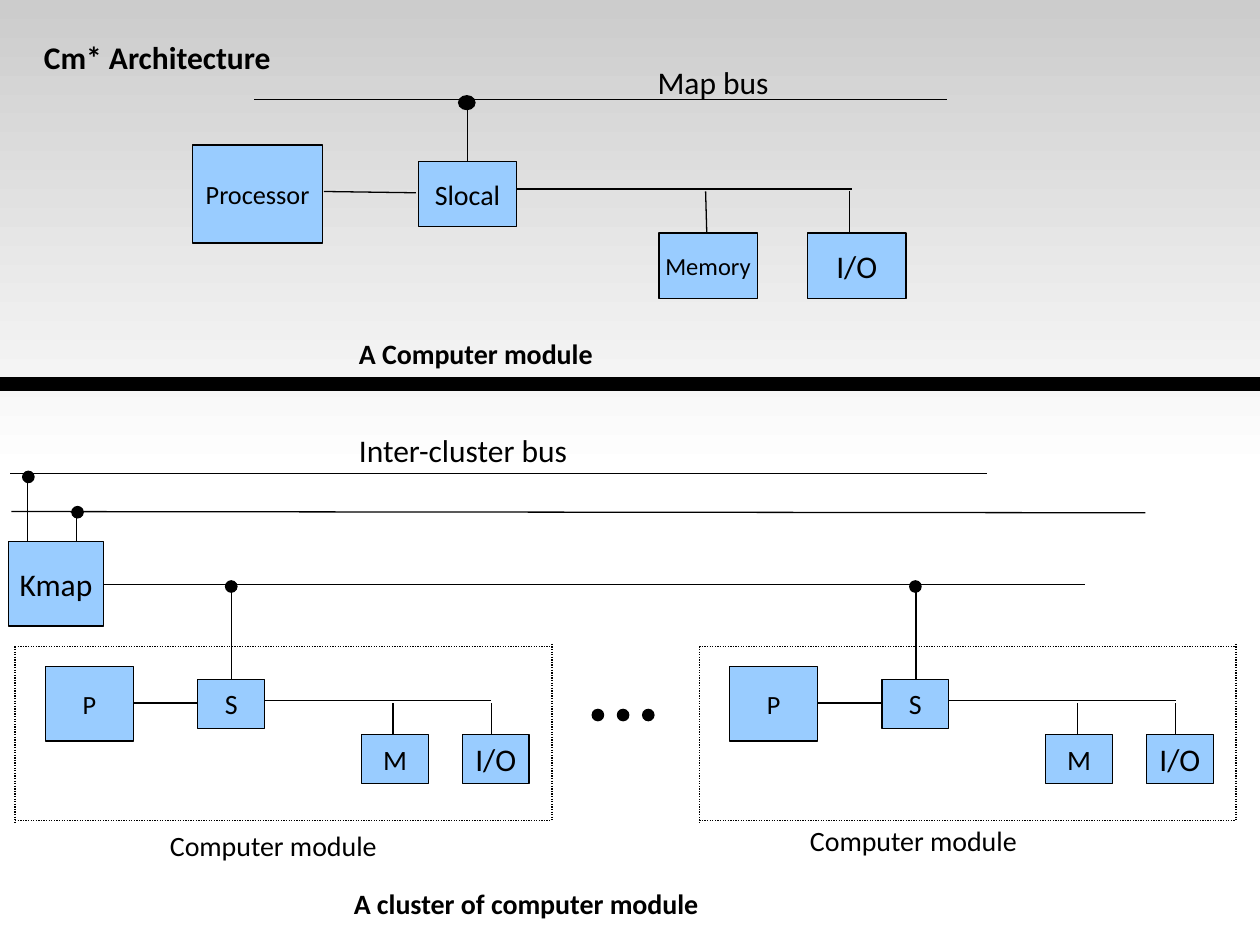
"""Build the Cm* architecture slide: one computer module above a cluster of them."""
from lxml.etree import SubElement
from pptx import Presentation
from pptx.dml.color import RGBColor
from pptx.enum.dml import MSO_LINE
from pptx.enum.shapes import MSO_CONNECTOR, MSO_SHAPE
from pptx.enum.text import MSO_ANCHOR, PP_ALIGN
from pptx.oxml.ns import qn
from pptx.util import Inches, Pt

COLORS = {"ink": "000000", "box": "99CCFF", "shade": "CCCCCC", "paper": "FFFFFF"}
FONT = "Calibri"

LABELS = [
    ("Cm* Architecture", 0.25, 0.25, 3.25, 0.4, 18, True),
    ("Map bus", 5.12, 0.45, 2.25, 0.4, 18, False),
    ("A Computer module", 2.75, 2.62, 4.5, 0.36, 16, True),
    ("Inter-cluster bus", 2.75, 3.37, 3.25, 0.4, 18, False),
    ("Computer module", 1.25, 6.53, 3.75, 0.36, 16, False),
    ("Computer module", 6.33, 6.49, 3.75, 0.36, 16, False),
    ("A cluster of computer module", 2.71, 6.99, 4.5, 0.36, 16, True),
]

SINGLE_BOXES = [
    ("Processor", 1.53, 1.15, 1.03, 0.78, 15),
    ("Slocal", 3.32, 1.28, 0.78, 0.52, 16),
    ("Memory", 5.23, 1.85, 0.78, 0.52, 14),
    ("I/O", 6.41, 1.85, 0.78, 0.52, 18),
]
SINGLE_WIRES = [
    (2.02, 0.79, 7.52, 0.79),
    (3.71, 0.84, 3.71, 1.28),
    (2.57, 1.52, 3.3, 1.53),
    (4.08, 1.5, 6.76, 1.5),
    (5.6, 1.52, 5.61, 1.87),
    (6.74, 1.52, 6.74, 1.87),
]

KMAP = ("Kmap", 0.07, 4.3, 0.75, 0.67, 18)
BUS_WIRES = [
    (0.08, 3.76, 7.83, 3.76),
    (0.09, 4.06, 9.09, 4.07),
    (0.61, 4.64, 8.61, 4.64),
    (0.22, 3.77, 0.22, 4.38),
    (0.61, 4.05, 0.61, 4.31),
]

MODULE_LEFTS = [0.12, 5.55]
MODULE_BOXES = [
    ("P", 0.24, 5.29, 0.7, 0.59, 15),
    ("S", 1.45, 5.39, 0.53, 0.39, 16),
    ("M", 2.75, 5.83, 0.53, 0.39, 16),
    ("I/O", 3.55, 5.83, 0.53, 0.39, 18),
]
MODULE_WIRES = [
    (1.72, 4.64, 1.72, 5.39),
    (0.94, 5.58, 1.44, 5.58),
    (1.97, 5.56, 3.78, 5.56),
    (3, 5.58, 3, 5.84),
    (3.78, 5.58, 3.78, 5.84),
]
MODULE_FRAME = [
    (0, 5.13, 0, 6.53),
    (4.26, 5.11, 4.26, 6.51),
    (0, 5.13, 4.25, 5.13),
    (0, 6.51, 4.25, 6.51),
]
MODULE_DOT = (1.67, 4.61)

DOT = 0.09
BUS_DOTS = [(0.18, 3.74), (0.57, 4.02)]
ELLIPSIS = [(4.7 + 0.2 * step, 5.63) for step in range(3)]


def color(name):
    return RGBColor.from_string(COLORS[name])


def add_block(slide, kind, left, top, width, height, fill):
    block = slide.shapes.add_shape(
        kind, Inches(left), Inches(top), Inches(width), Inches(height))
    block.shadow.inherit = False
    block.fill.solid()
    block.fill.fore_color.rgb = color(fill)
    block.line.color.rgb = color("ink")
    block.line.width = Pt(0.75)
    return block


def add_shading(slide):
    shading = add_block(slide, MSO_SHAPE.ROUNDED_RECTANGLE, 0, 0, 10, 3.75, "paper")
    shading.adjustments[0] = 0
    shading.line.fill.background()
    shading.fill.gradient()
    shading.fill.gradient_angle = 270
    for stop, name in zip(shading.fill.gradient_stops, ("shade", "paper")):
        stop.color.rgb = color(name)


def write(frame, text, size, bold=False):
    paragraph = frame.paragraphs[0]
    run = paragraph.add_run()
    run.text = text
    run.font.name = FONT
    run.font.size = Pt(size)
    run.font.bold = bold
    run.font.color.rgb = color("ink")
    return paragraph


def add_unit(slide, text, left, top, width, height, size):
    unit = add_block(slide, MSO_SHAPE.RECTANGLE, left, top, width, height, "box")
    unit.text_frame.word_wrap = False
    unit.text_frame.vertical_anchor = MSO_ANCHOR.MIDDLE
    write(unit.text_frame, text, size).alignment = PP_ALIGN.CENTER


def add_label(slide, text, left, top, width, height, size, bold):
    label = slide.shapes.add_textbox(
        Inches(left), Inches(top), Inches(width), Inches(height))
    label.text_frame.word_wrap = True
    write(label.text_frame, text, size, bold)


def add_wire(slide, x1, y1, x2, y2, dash=None):
    wire = slide.shapes.add_connector(
        MSO_CONNECTOR.STRAIGHT, Inches(x1), Inches(y1), Inches(x2), Inches(y2))
    wire.line.color.rgb = color("ink")
    wire.line.width = Pt(0.75)
    if dash:
        wire.line.dash_style = dash
    SubElement(wire._element.spPr, qn("a:effectLst"))


def add_dot(slide, left, top, width=DOT, height=DOT):
    add_block(slide, MSO_SHAPE.OVAL, left, top, width, height, "ink")


def add_module(slide, origin):
    for x1, y1, x2, y2 in MODULE_FRAME:
        add_wire(slide, origin + x1, y1, origin + x2, y2, MSO_LINE.ROUND_DOT)
    for x1, y1, x2, y2 in MODULE_WIRES:
        add_wire(slide, origin + x1, y1, origin + x2, y2)
    for text, left, *rest in MODULE_BOXES:
        add_unit(slide, text, origin + left, *rest)
    add_dot(slide, origin + MODULE_DOT[0], MODULE_DOT[1])


def main():
    deck = Presentation()
    deck.slide_width, deck.slide_height = Inches(10), Inches(7.5)
    slide = deck.slides.add_slide(deck.slide_layouts[6])
    add_shading(slide)
    add_block(slide, MSO_SHAPE.RECTANGLE, 0, 3, 10, 0.1, "ink")
    for wire in SINGLE_WIRES + BUS_WIRES:
        add_wire(slide, *wire)
    for unit in SINGLE_BOXES + [KMAP]:
        add_unit(slide, *unit)
    for origin in MODULE_LEFTS:
        add_module(slide, origin)
    add_dot(slide, 3.64, 0.76, 0.13, 0.11)
    for dot in BUS_DOTS + ELLIPSIS:
        add_dot(slide, *dot)
    for label in LABELS:
        add_label(slide, *label)
    deck.save("out.pptx")


if __name__ == "__main__":
    main()
